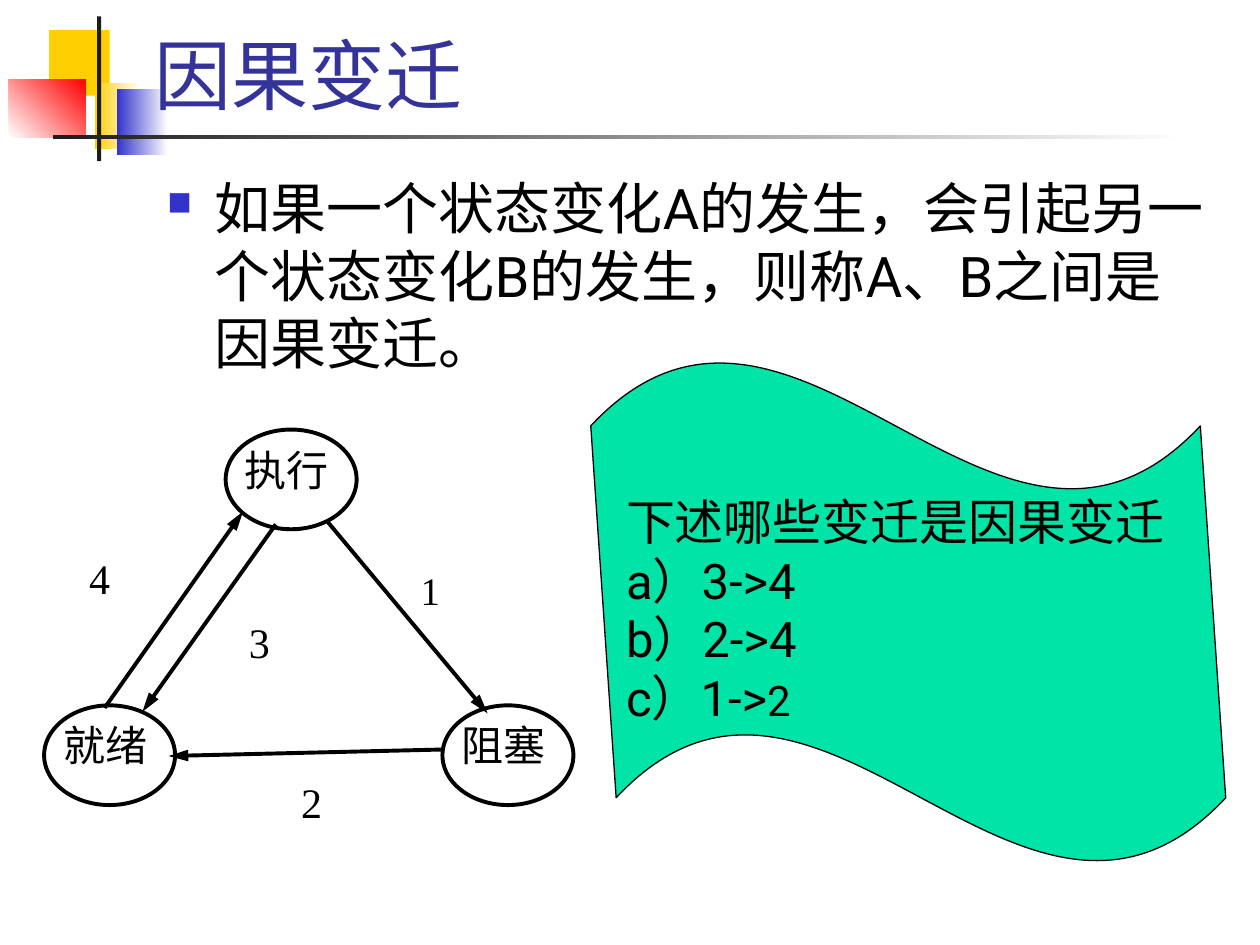
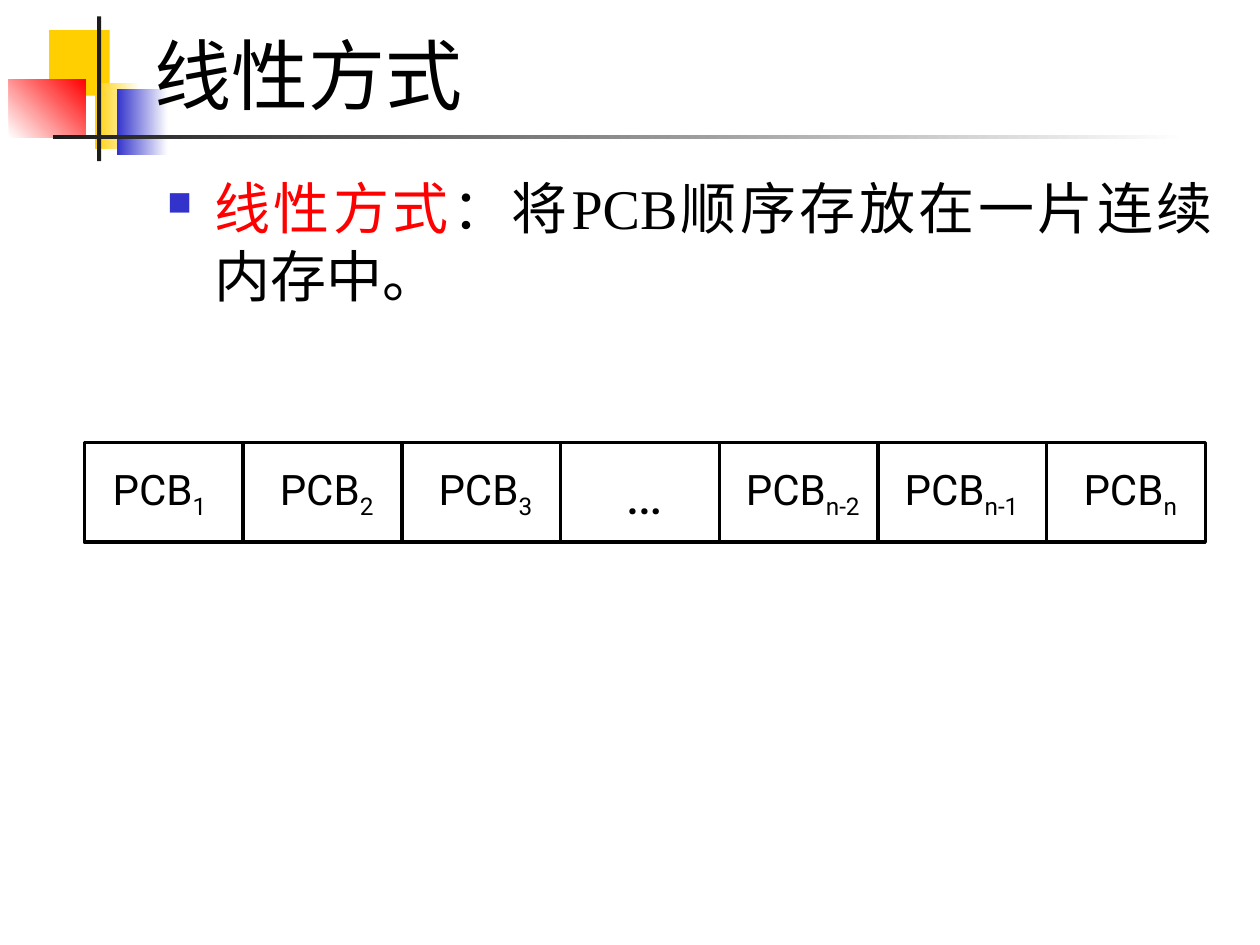
import pptx
import pptx.dml.color
import pptx.enum.shapes
import pptx.enum.text
import pptx.oxml.ns
import pptx.util
from lxml import etree

Cm = pptx.util.Cm
Pt = pptx.util.Pt
RGBColor = pptx.dml.color.RGBColor
Shape = pptx.enum.shapes.MSO_SHAPE
Align = pptx.enum.text.PP_ALIGN
Anchor = pptx.enum.text.MSO_ANCHOR
qn = pptx.oxml.ns.qn

BLACK = RGBColor(0x00, 0x00, 0x00)
WHITE = RGBColor(0xFF, 0xFF, 0xFF)
RED = RGBColor(0xFF, 0x00, 0x00)
YELLOW = RGBColor(0xFF, 0xCF, 0x01)
BLUE = RGBColor(0x33, 0x33, 0xCC)
TITLE_BLUE = RGBColor(0x33, 0x33, 0x99)
CHARCOAL = RGBColor(0x1C, 0x1C, 0x1C)
GREEN = RGBColor(0x00, 0xE4, 0xA8)

SANS = "Roboto"
SERIF = "Times New Roman"

# left, top, width, height, colours from start to end, gradient angle
DECORATIONS = [
    (0.99, 0.61, 1.22, 1.32, [YELLOW], 0),
    (1.91, 1.68, 0.91, 1.32, [YELLOW, WHITE], 0),
    (2.36, 1.8, 1.02, 1.32, [BLUE, WHITE], 0),
    (0.18, 1.6, 1.55, 1.17, [WHITE, RED], 45),
    (1.96, 0.33, 0.08, 2.92, [CHARCOAL], 0),
    (1.07, 2.72, 22.86, 0.08, [CHARCOAL, WHITE], 0),
]

STATE_SIZE = (2.64, 2.01)
STATES = [("执行", 4.55, 8.66), ("就绪", 0.89, 14.22), ("阻塞", 8.92, 14.22)]
TRANSITIONS = [
    (5.56, 10.57, 2.87, 14.35),
    (2.11, 14.27, 4.9, 10.31),
    (6.58, 10.49, 9.83, 14.38),
    (8.89, 15.11, 3.4, 15.24),
]
# text, position and size, font size, alignment
TRANSITION_LABELS = [
    ("4", (1.8, 11.13, 1.19, 1.3), 24, Align.JUSTIFY),
    ("3", (4.39, 12.42, 1.68, 1.5), 24, Align.CENTER),
    ("1", (8.48, 11.43, 1.52, 0.97), 22.2, Align.JUSTIFY),
    ("2", (6.07, 15.65, 1.55, 1.27), 24, Align.JUSTIFY),
]

ROW_LEFT, ROW_TOP, ROW_HEIGHT = 1.7, 8.92, 2.01
# subscript (None for the gap in the row) and cell width
PCB_CELLS = [("1", 3.2), ("2", 3.2), ("3", 3.2), (None, 3.2),
             ("n-2", 3.2), ("n-1", 3.4), ("n", 3.2)]


def set_font(font, name, size, color):
    font.name = name
    font.size = Pt(size)
    font.color.rgb = color


def set_margins(frame, horizontal, vertical=0):
    frame.margin_left = frame.margin_right = Cm(horizontal)
    frame.margin_top = frame.margin_bottom = Cm(vertical)


def add_shape(page, kind, area, fill=None, line=None, line_width=1):
    shape = page.shapes.add_shape(kind, *map(Cm, area))
    shape.shadow.inherit = False
    if fill is None:
        shape.fill.background()
    else:
        shape.fill.solid()
        shape.fill.fore_color.rgb = fill
    if line is None:
        shape.line.fill.background()
    else:
        shape.line.color.rgb = line
        shape.line.width = Pt(line_width)
    return shape


def add_line(page, start_x, start_y, end_x, end_y, width, arrow=False):
    line = page.shapes.add_connector(
        pptx.enum.shapes.MSO_CONNECTOR.STRAIGHT,
        *map(Cm, (start_x, start_y, end_x, end_y)))
    line.line.color.rgb = BLACK
    line.line.width = Pt(width)
    if arrow:
        etree.SubElement(line.line._get_or_add_ln(), qn("a:tailEnd"),
                         type="triangle", len="lg")
    etree.SubElement(line._element.spPr, qn("a:effectLst"))


def add_text(page, area, text, font, size, color=BLACK, align=Align.LEFT,
             anchor=Anchor.TOP, wrap=True, margins=(0, 0)):
    """Add a one-paragraph text box and return its paragraph."""
    frame = page.shapes.add_textbox(*map(Cm, area)).text_frame
    frame.word_wrap = wrap
    frame.vertical_anchor = anchor
    set_margins(frame, *margins)
    para = frame.paragraphs[0]
    para.alignment = align
    para.add_run().text = text
    set_font(para.font, font, size, color)
    return para


def add_title(page, text, font, color):
    add_text(page, (2.87, 0.36, 21.64, 2.18), text, font, 44, color,
             anchor=Anchor.BOTTOM, margins=(0.25, 0.13))


def add_bullet(page, height, pieces, font, align=Align.LEFT):
    """Add the bulleted body text; pieces are (text, colour) pairs."""
    box = page.shapes.add_textbox(Cm(3.12), Cm(3.38), Cm(21.59), Cm(height))
    box.text_frame.word_wrap = True
    para = box.text_frame.paragraphs[0]
    para.alignment = align
    settings = para._p.get_or_add_pPr()
    settings.set("marL", str(Cm(0.95)))
    settings.set("indent", str(-Cm(0.95)))
    bullet_color = etree.SubElement(settings, qn("a:buClr"))
    etree.SubElement(bullet_color, qn("a:srgbClr"), val=str(BLUE))
    etree.SubElement(settings, qn("a:buSzPct"), val="60000")
    etree.SubElement(settings, qn("a:buChar"), char="■")
    set_font(para.font, font, 32, BLACK)
    for text, color in pieces:
        span = para.add_run()
        span.text = text
        if color != BLACK:
            span.font.color.rgb = color


def add_page(deck):
    """Add a blank page with the shared corner squares and title rule."""
    page = deck.slides.add_slide(deck.slide_layouts[6])
    for *area, colors, angle in DECORATIONS:
        shape = add_shape(page, Shape.RECTANGLE, area, colors[0])
        if len(colors) > 1:
            shape.fill.gradient()
            shape.fill.gradient_angle = angle
            for stop, color, position in zip(shape.fill.gradient_stops, colors, (0, 1)):
                stop.color.rgb = color
                stop.position = position
    return page


def add_state(page, name, left, top):
    oval = add_shape(page, Shape.OVAL, (left, top, *STATE_SIZE), WHITE, BLACK, 2.25)
    frame = oval.text_frame
    set_margins(frame, 0)
    frame.vertical_anchor = Anchor.TOP
    para = frame.paragraphs[0]
    para.text = name
    para.alignment = Align.JUSTIFY
    set_font(para.font, SERIF, 24, BLACK)


def add_question(page):
    wave = add_shape(page, Shape.WAVE, (11.91, 7.27, 12.8, 10.13), GREEN, BLACK, 0.75)
    wave.adjustments[0] = 0.13
    wave.adjustments[1] = 0.02
    frame = wave.text_frame
    set_margins(frame, 0.2)
    frame.word_wrap = True
    frame.vertical_anchor = Anchor.TOP
    frame.text = "下述哪些变迁是因果变迁\na）3->4\nb）2->4\nc）1->"
    for para in frame.paragraphs:
        para.alignment = Align.LEFT
        set_font(para.font, SANS, 28, BLACK)
    span = para.add_run()
    span.text = "2"
    span.font.size = Pt(24)


def add_pcb_row(page):
    width = sum(cell_width for _, cell_width in PCB_CELLS)
    add_shape(page, Shape.RECTANGLE, (ROW_LEFT, ROW_TOP, width, ROW_HEIGHT),
              line=BLACK, line_width=2)
    left = ROW_LEFT
    for index, (subscript, cell_width) in enumerate(PCB_CELLS):
        if index:
            add_line(page, left, ROW_TOP, left, ROW_TOP + ROW_HEIGHT, 2)
        label_left = left + (0.28 if index else 0.11)
        para = add_text(page, (label_left, ROW_TOP + 0.4, 2.81, 1.19),
                        "PCB" if subscript else "…", SANS, 24 if subscript else 32,
                        align=Align.CENTER, anchor=Anchor.MIDDLE, wrap=False)
        if subscript:
            span = para.add_run()
            span.text = subscript
            span._r.get_or_add_rPr().set("baseline", "-25000")
        left += cell_width


def build_causal_page(deck):
    page = add_page(deck)
    add_title(page, "因果变迁", SANS, TITLE_BLUE)
    add_bullet(page, 4.95, [
        ("如果一个状态变化A的发生，会引起另一个状态变化B的发生，则称A、B之间是因果变迁。", BLACK),
    ], SANS)
    for state in STATES:
        add_state(page, *state)
    for ends in TRANSITIONS:
        add_line(page, *ends, 2.25, arrow=True)
    for text, area, size, align in TRANSITION_LABELS:
        add_text(page, area, text, SERIF, size, align=align)
    add_question(page)


def build_linear_page(deck):
    page = add_page(deck)
    add_title(page, "线性方式", SERIF, BLACK)
    add_bullet(page, 3.89, [
        ("线性方式", RED),
        ("：将PCB顺序存放在一片连续内存中。", BLACK),
    ], SERIF, Align.JUSTIFY)
    add_pcb_row(page)


def main():
    deck = pptx.Presentation()
    deck.slide_width = Cm(25.4)
    deck.slide_height = Cm(19.05)
    build_causal_page(deck)
    build_linear_page(deck)
    deck.save("out.pptx")


if __name__ == "__main__":
    main()
